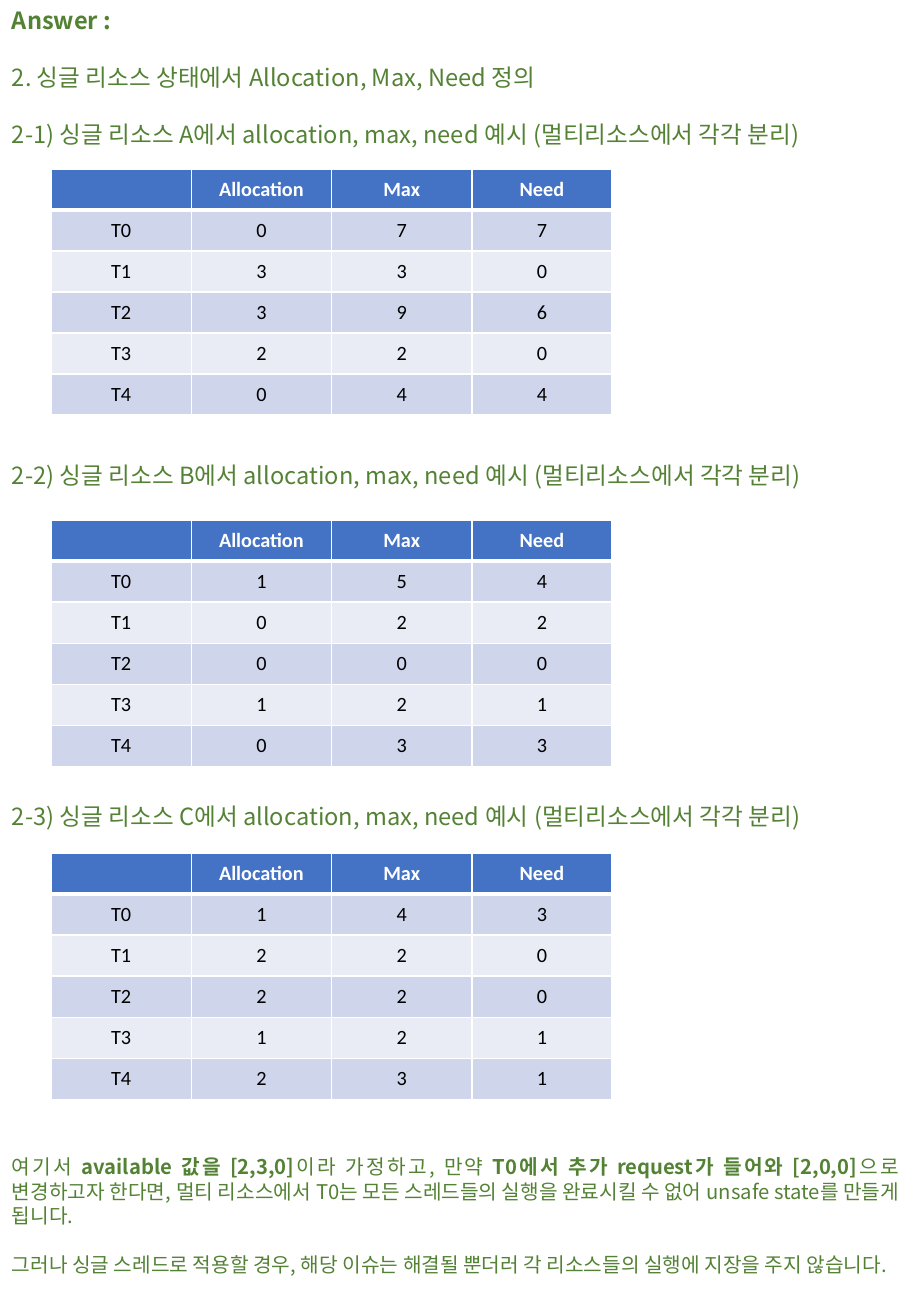
from lxml import etree
from pptx import Presentation
from pptx import util as u
from pptx.dml.color import RGBColor
from pptx.enum import text
from pptx.oxml import ns

GREEN = RGBColor(0x54, 0x82, 0x35)
BLUE = RGBColor(0x44, 0x72, 0xC4)
BAND_DARK = RGBColor(0xCF, 0xD5, 0xEA)
BAND_LIGHT = RGBColor(0xE9, 0xEB, 0xF5)
WHITE = RGBColor(0xFF, 0xFF, 0xFF)
BLACK = RGBColor(0, 0, 0)

WIDTH, HEIGHT = u.Inches(7.5), u.Inches(10.83)
TABLE_LEFT = u.Inches(0.42)
COL, ROW = u.Inches(1.155), u.Inches(0.338)
HEADING_LINE, NOTE_LINE = 16.84, 14.5
TABLE_GAP = 11  # heading lines left free for each table

HEADER = ["", "Allocation", "Max", "Need"]
# resource: (table top in inches, (allocation, max) of each thread)
RESOURCES = {
    "A": (1.39, [(0, 7), (3, 3), (3, 9), (2, 2), (0, 4)]),
    "B": (4.28, [(1, 5), (0, 2), (0, 0), (1, 2), (0, 3)]),
    "C": (7.02, [(1, 4), (2, 2), (2, 2), (1, 2), (2, 3)]),
}

# Each paragraph is a list of (text, bold) runs
NOTES = [
    [("여기서 ", False),
     ("available 값을 [2,3,0]", True),
     ("이라 가정하고, 만약 ", False),
     ("T0에서 추가 request가 들어와 [2,0,0]", True),
     ("으로 변경하고자 한다면, 멀티 리소스에서 T0는 모든 스레드들의 실행을 "
      "완료시킬 수 없어 unsafe state를 만들게 됩니다. ", False)],
    [("그러나 싱글 스레드로 적용할 경우, 해당 이슈는 해결될 뿐더러 "
      "각 리소스들의 실행에 지장을 주지 않습니다.", False)],
]

KOREAN = {"name": "Noto Sans CJK KR"}
CELL = {"name": "Calibri", "size": u.Pt(12)}


def set_font(font, color, **values):
    for name, value in values.items():
        setattr(font, name, value)
    font.color.rgb = color


def add_text(s, top, height, paragraphs, gaps, line, size, anchor, align):
    """Add a full-width green text box; gaps are counted in lines."""
    tf = s.shapes.add_textbox(0, top, WIDTH, height).text_frame
    tf.word_wrap = True
    tf.vertical_anchor = anchor
    for i, (runs, gap) in enumerate(zip(paragraphs, gaps)):
        p = tf.add_paragraph() if i else tf.paragraphs[0]
        p.alignment = align
        p.line_spacing = u.Pt(line)
        p.space_before = u.Pt(line * gap)
        for content, bold in runs:
            r = p.add_run()
            r.text = content
            set_font(r.font, GREEN, size=u.Pt(size), bold=bold, **KOREAN)
            ea = etree.SubElement(r.font._element, ns.qn("a:ea"))
            ea.set("typeface", KOREAN["name"])


def set_borders(cell, **widths):
    """Draw white borders; widths map a side (L, R, T, B) to points."""
    tc_pr = cell._tc.get_or_add_tcPr()
    for i, (side, width) in enumerate(widths.items()):
        ln = etree.Element(ns.qn(f"a:ln{side}"), w=str(u.Pt(width)))
        fill = etree.SubElement(ln, ns.qn("a:solidFill"))
        etree.SubElement(fill, ns.qn("a:srgbClr"), val=str(WHITE))
        tc_pr.insert(i, ln)


def add_resource_table(s, top, threads):
    rows = [HEADER] + [[f"T{i}", held, most, most - held]
                       for i, (held, most) in enumerate(threads)]
    n_rows, n_cols = len(rows), len(HEADER)
    table = s.shapes.add_table(n_rows, n_cols, TABLE_LEFT, top,
                               COL * n_cols, ROW * n_rows).table
    for i, values in enumerate(rows):
        is_header = i == 0
        fill = BLUE if is_header else BAND_DARK if i % 2 else BAND_LIGHT
        for j, value in enumerate(values):
            cell = table.cell(i, j)
            cell.text = str(value)
            cell.vertical_anchor = text.MSO_ANCHOR.MIDDLE
            cell.fill.solid()
            cell.fill.fore_color.rgb = fill
            set_borders(cell, L=1, R=1, T=3 if i == 1 else 1,
                        B=3 if is_header else 1)
            p = cell.text_frame.paragraphs[0]
            p.alignment = text.PP_ALIGN.CENTER
            font = p.runs[0].font if p.runs else p.font
            set_font(font, WHITE if is_header else BLACK,
                     bold=is_header, **CELL)


def main():
    prs = Presentation()
    prs.slide_width, prs.slide_height = WIDTH, HEIGHT
    s = prs.slides.add_slide(prs.slide_layouts[6])

    headings = [[("Answer :", True)],
                [("2. 싱글 리소스 상태에서 Allocation, Max, Need 정의", False)]]
    headings += [[(f"2-{i}) 싱글 리소스 {name}에서 allocation, max, need 예시 "
                   "(멀티리소스에서 각각 분리)", False)]
                 for i, name in enumerate(RESOURCES, 1)]
    add_text(s, 0, u.Inches(7.17), headings,
             [0, 1, 1, TABLE_GAP, TABLE_GAP], HEADING_LINE, 14,
             text.MSO_ANCHOR.TOP, text.PP_ALIGN.LEFT)

    for top, threads in RESOURCES.values():
        add_resource_table(s, u.Inches(top), threads)

    add_text(s, u.Inches(9.45), u.Inches(1.11), NOTES, [0, 1], NOTE_LINE, 12,
             text.MSO_ANCHOR.MIDDLE, text.PP_ALIGN.JUSTIFY)
    prs.save("out.pptx")


if __name__ == "__main__":
    main()
